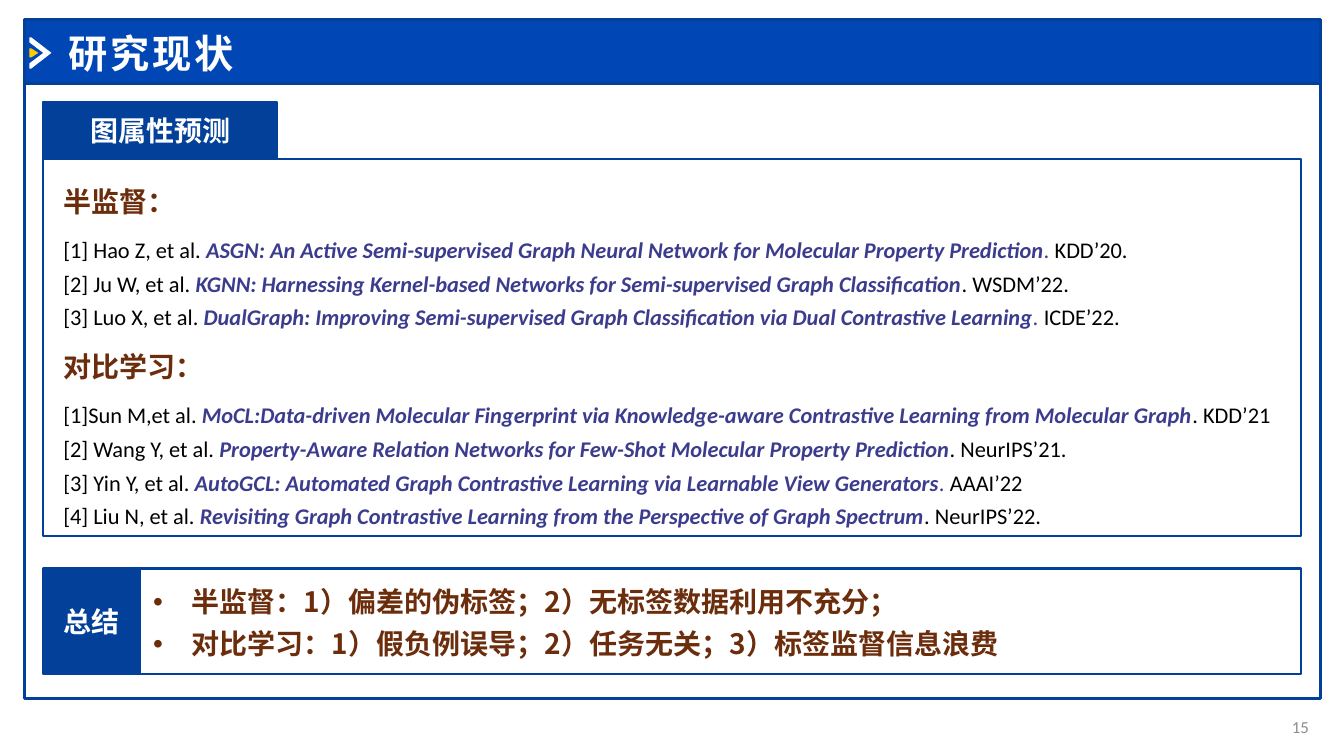
from lxml import etree
from pptx import Presentation
from pptx.dml.color import RGBColor
from pptx.enum.shapes import MSO_SHAPE
from pptx.enum.text import MSO_ANCHOR, PP_ALIGN
from pptx.oxml.ns import qn
from pptx.util import Inches, Pt

NAVY, BLUE, YELLOW, WHITE = "02409A", "0047B5", "FFCC00", "FFFFFF"
BROWN, VIOLET, BLACK, GREY = "6B2D0B", "3C3C8E", "000000", "8C8C8C"
LATIN, CHINESE = "Calibri", "Noto Sans CJK SC"

TITLE, TOPIC, SUMMARY_LABEL, PAGE_NUMBER = "研究现状", "图属性预测", "总结", "15"
# Each reference: authors, paper, violet ending, black ending
SECTIONS = [
    ("半监督：", [
        ("[1] Hao Z, et al. ",
         "ASGN: An Active Semi-supervised Graph Neural Network for Molecular Property Prediction",
         ". ", "KDD’20."),
        ("[2] Ju W, et al. ",
         "KGNN: Harnessing Kernel-based Networks for Semi-supervised Graph Classification",
         "", ". WSDM’22."),
        ("[3] Luo X, et al. ",
         "DualGraph: Improving Semi-supervised Graph Classification via Dual Contrastive Learning",
         ".", " ICDE’22."),
    ]),
    ("对比学习：", [
        ("[1]Sun M,et al. ",
         "MoCL:Data-driven Molecular Fingerprint via Knowledge-aware Contrastive Learning "
         "from Molecular Graph",
         "", ". KDD’21"),
        ("[2] Wang Y, et al. ",
         "Property-Aware Relation Networks for Few-Shot Molecular Property Prediction",
         "", ". NeurIPS’21."),
        ("[3] Yin Y, et al. ",
         "AutoGCL: Automated Graph Contrastive Learning via Learnable View Generators",
         ". ", "AAAI’22"),
        ("[4] Liu N, et al. ",
         "Revisiting Graph Contrastive Learning from the Perspective of Graph Spectrum",
         "", ". NeurIPS’22."),
    ]),
]
SUMMARY = ["半监督：1）偏差的伪标签；2）无标签数据利用不充分；",
           "对比学习：1）假负例误导；2）任务无关；3）标签监督信息浪费"]

# Layout in inches
FRAME_LEFT, FRAME_TOP, FRAME_WIDTH, FRAME_HEIGHT = 0.24, 0.19, 12.86, 6.74
HEADER_HEIGHT = 0.64
LEFT, WIDTH = 0.43, 12.47
TAB_TOP, TAB_WIDTH, TAB_HEIGHT = 1.01, 2.32, 0.57
PANEL_TOP, PANEL_HEIGHT = TAB_TOP + TAB_HEIGHT, 3.74
SUMMARY_TOP, SUMMARY_HEIGHT, LABEL_WIDTH = 5.64, 1.05, 0.96
PADDING = 0.1
# Header marks in thousandths of an inch
CHEVRON = [(290, 370), (310, 370), (510, 525), (310, 680),
           (290, 680), (290, 630), (430, 525), (290, 420)]
ARROW = [(290, 480), (310, 480), (380, 525), (310, 570), (290, 570)]
LINE_HEIGHT = 1.5  # line pitch as a multiple of the font size

presentation = Presentation()
presentation.slide_width, presentation.slide_height = Inches(13.33), Inches(7.5)
slide = presentation.slides.add_slide(presentation.slide_layouts[6])
shapes = slide.shapes


def rgb(color):
    return RGBColor.from_string(color)


def paint(shape, fill=None, line=None, line_width=1.5):
    shape.shadow.inherit = False
    if fill:
        shape.fill.solid()
        shape.fill.fore_color.rgb = rgb(fill)
    else:
        shape.fill.background()
    if line:
        shape.line.color.rgb = rgb(line)
        shape.line.width = Pt(line_width)
    else:
        shape.line.fill.background()


def add_box(left, top, width, height, fill=None, line_width=1.5):
    box = shapes.add_shape(MSO_SHAPE.RECTANGLE, *map(Inches, (left, top, width, height)))
    paint(box, fill, NAVY, line_width)
    return box


def add_outline(points, fill):
    builder = shapes.build_freeform(*points[0], scale=Inches(1) / 1000)
    builder.add_line_segments(points[1:], close=True)
    paint(builder.convert_to_shape(), fill)


def add_text_frame(left, top, width, height):
    frame = shapes.add_textbox(*map(Inches, (left, top, width, height))).text_frame
    frame.word_wrap = True
    return frame


def add_run(paragraph, text, size, color, bold=False, italic=False, font=LATIN):
    run = paragraph.add_run()
    run.text = text
    run.font.size, run.font.bold, run.font.italic = Pt(size), bold, italic
    run.font.name = font
    run.font.color.rgb = rgb(color)
    etree.SubElement(run.font._element, qn("a:ea")).set("typeface", CHINESE)
    return run


def add_label(frame, text, size, color, align=PP_ALIGN.LEFT, bold=True):
    """Put one vertically centred line into a frame."""
    frame.vertical_anchor = MSO_ANCHOR.MIDDLE
    frame.paragraphs[0].alignment = align
    return add_run(frame.paragraphs[0], text, size, color, bold)


def next_paragraph(frame, size, indent):
    """Give a fresh paragraph with a hanging indent, reusing the empty first one."""
    paragraph = frame.paragraphs[0]
    if paragraph.runs:
        paragraph = frame.add_paragraph()
    paragraph.line_spacing = Pt(size * LINE_HEIGHT)
    properties = paragraph._p.get_or_add_pPr()
    properties.set("marL", str(Inches(indent)))
    properties.set("indent", str(-Inches(indent)))
    return paragraph


# Frame and header
add_box(FRAME_LEFT, FRAME_TOP + HEADER_HEIGHT, FRAME_WIDTH, FRAME_HEIGHT - HEADER_HEIGHT,
        line_width=2)
add_box(FRAME_LEFT, FRAME_TOP, FRAME_WIDTH, HEADER_HEIGHT, BLUE, line_width=2)
add_outline(CHEVRON, WHITE)
add_outline(ARROW, YELLOW)
title_run = add_label(add_text_frame(0.58, 0.24, 11.04, 0.57), TITLE, 28, WHITE)
title_run.font._element.set("spc", "200")
add_label(add_text_frame(12.29, 7.01, 0.79, 0.4), PAGE_NUMBER, 12, GREY,
          PP_ALIGN.RIGHT, bold=False)

# Panels with their labels
add_box(LEFT, PANEL_TOP, WIDTH, PANEL_HEIGHT)
add_box(LEFT + LABEL_WIDTH, SUMMARY_TOP, WIDTH - LABEL_WIDTH, SUMMARY_HEIGHT)
for text, top, width, height in [(TOPIC, TAB_TOP, TAB_WIDTH, TAB_HEIGHT),
                                 (SUMMARY_LABEL, SUMMARY_TOP, LABEL_WIDTH, SUMMARY_HEIGHT)]:
    label = add_box(LEFT, top, width, height, NAVY)
    add_label(label.text_frame, text, 20, WHITE, PP_ALIGN.CENTER)

# References
references = add_text_frame(LEFT + PADDING, PANEL_TOP + 0.12, WIDTH - 2 * PADDING, 3.52)
for index, (heading, papers) in enumerate(SECTIONS):
    paragraph = next_paragraph(references, 20, 0.26)
    paragraph.space_after = Pt(8)
    if index:
        paragraph.space_before = Pt(8)
    add_run(paragraph, heading, 20, BROWN, bold=True, font=CHINESE)
    for authors, paper, violet_ending, black_ending in papers:
        paragraph = next_paragraph(references, 16, 0.26)
        add_run(paragraph, authors, 16, BLACK)
        add_run(paragraph, paper, 16, VIOLET, bold=True, italic=True)
        if violet_ending:
            add_run(paragraph, violet_ending, 16, VIOLET, italic=True)
        add_run(paragraph, black_ending, 16, BLACK)

# Summary
summary = add_text_frame(LEFT + LABEL_WIDTH + 0.03, SUMMARY_TOP + 0.03, 11.41, 0.98)
for text in SUMMARY:
    paragraph = next_paragraph(summary, 20, 0.38)
    properties = paragraph._p.get_or_add_pPr()
    etree.SubElement(properties, qn("a:buFont")).set("typeface", "Arial")
    etree.SubElement(properties, qn("a:buChar")).set("char", "•")
    add_run(paragraph, text, 20, BROWN, bold=True, font=CHINESE)

presentation.save("out.pptx")
